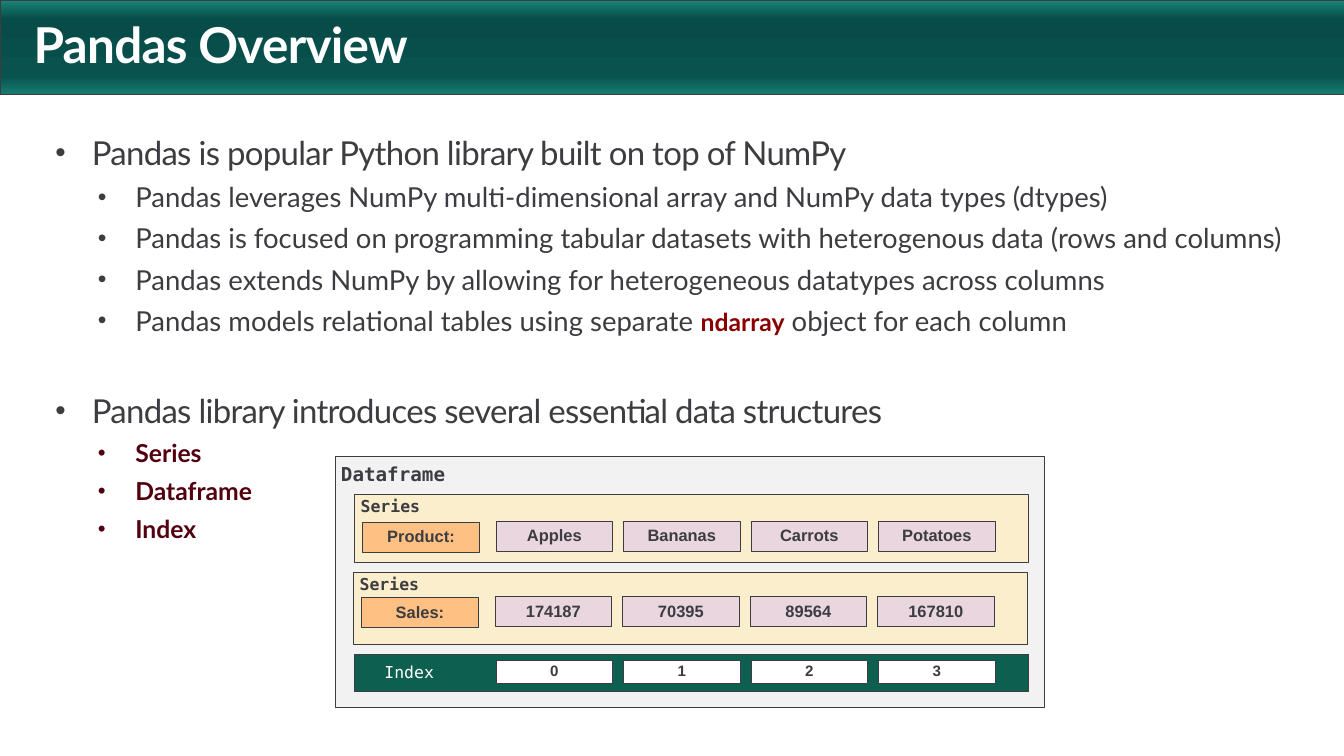
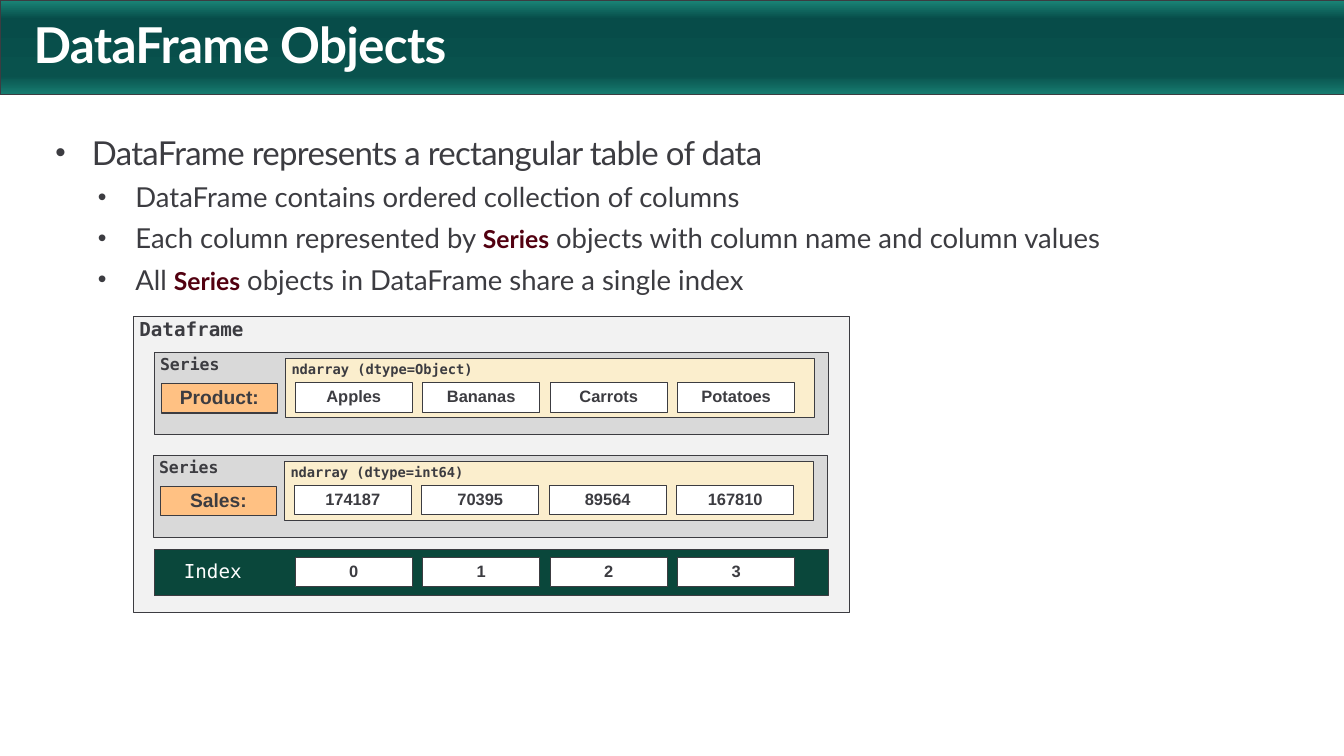
from lxml import etree
from pptx import Presentation
from pptx.dml.color import RGBColor
from pptx.enum import shapes, text
from pptx.oxml import ns
from pptx.util import Inches, Pt

INK = RGBColor(0x3C, 0x3C, 0x41)
WHITE = RGBColor(0xFF, 0xFF, 0xFF)
RED = RGBColor(0x8A, 0x00, 0x00)
MAROON = RGBColor(0x52, 0x00, 0x10)
PALE = RGBColor(0xF2, 0xF2, 0xF2)
GREY = RGBColor(0xD9, 0xD9, 0xD9)
CREAM = RGBColor(0xFB, 0xEE, 0xCD)
ORANGE = RGBColor(0xFF, 0xC1, 0x83)
PINK = RGBColor(0xE9, 0xD6, 0xDF)
GREEN = RGBColor(0x0D, 0x5F, 0x4F)
DARK_GREEN = RGBColor(0x0A, 0x47, 0x3B)
BAND_STOPS = [(1, "198375"), (20, "074C49"), (80, "09524D"), (100, "177D71")]

LATO, MONO, ARIAL = "Lato", "DejaVu Sans Mono", "Arial"
LABEL_INSETS = (0.06, 0.04, 0.2, 0.16)
INDEX_INSETS = (0.3, 0, 0.2, 0)
NO_INSETS = (0, 0, 0, 0)
CELL_W, CELL_H, CELL_PITCH = 1.18, 0.3, 1.29

# Content: body lines are (level, [(text, emphasis colour)])
SLIDES = [
    ("Pandas Overview", 4.3, [
        (0, [("Pandas is popular Python library built on top of NumPy", None)]),
        (1, [("Pandas leverages NumPy multi-dimensional array and NumPy data types (dtypes)", None)]),
        (1, [("Pandas is focused on programming tabular datasets with heterogenous data "
              "(rows and columns)", None)]),
        (1, [("Pandas extends NumPy by allowing for heterogeneous datatypes across columns", None)]),
        (1, [("Pandas models relational tables using separate ", None), ("ndarray", RED),
             (" object for each column", None)]),
        (0, [("Pandas library introduces several essential data structures", None)]),
        (1, [("Series", MAROON)]),
        (1, [("Dataframe", MAROON)]),
        (1, [("Index", MAROON)]),
    ]),
    ("DataFrame Objects", 1.67, [
        (0, [("DataFrame represents a rectangular table of data", None)]),
        (1, [("DataFrame contains ordered collection of columns", None)]),
        (1, [("Each column represented by ", None), ("Series", MAROON),
             (" objects with column name and column values", None)]),
        (1, [("All ", None), ("Series", MAROON),
             (" objects in DataFrame share a single index", None)]),
    ]),
]
PRODUCTS = ["Apples", "Bananas", "Carrots", "Potatoes"]
SALES = ["174187", "70395", "89564", "167810"]
INDEX = ["0", "1", "2", "3"]


def add_run(p, words, font, size, color, bold=False, spacing=0):
    r = p.add_run()
    r.text = words
    r.font.name, r.font.size, r.font.bold = font, Pt(size), bold
    r.font.color.rgb = color
    if spacing:
        r._r.get_or_add_rPr().set("spc", str(int(spacing * 100)))


def add_box(s, at, fill, words, size, font=ARIAL, color=INK, insets=NO_INSETS, bold=True):
    sp = s.shapes.add_shape(shapes.MSO_SHAPE.RECTANGLE, *[Inches(v) for v in at])
    sp.shadow.inherit = False
    sp.fill.solid()
    sp.fill.fore_color.rgb = fill
    sp.line.color.rgb, sp.line.width = INK, Pt(0.75)
    tf = sp.text_frame
    tf.word_wrap = True
    tf.margin_left, tf.margin_top, tf.margin_right, tf.margin_bottom = [Inches(v) for v in insets]
    # Labels with a bottom inset sit at the top; all other text is centred vertically
    tf.vertical_anchor = text.MSO_ANCHOR.TOP if insets[3] else text.MSO_ANCHOR.MIDDLE
    p = tf.paragraphs[0]
    p.alignment = text.PP_ALIGN.CENTER if insets == NO_INSETS else text.PP_ALIGN.LEFT
    p.line_spacing = 0.9
    add_run(p, words, font, size, color, bold)


prs = Presentation()
prs.slide_width, prs.slide_height = Inches(13.6), Inches(7.65)

# Band, title and bullets on every slide
for title, body_h, lines in SLIDES:
    s = prs.slides.add_slide(prs.slide_layouts[6])
    band = s.shapes.add_shape(shapes.MSO_SHAPE.RECTANGLE, 0, 0, prs.slide_width, Inches(0.96))
    band.shadow.inherit = False
    band.line.color.rgb, band.line.width = INK, Pt(0.5)
    band.fill.gradient()
    grad = band._element.spPr.find(ns.qn("a:gradFill"))
    grad.find(ns.qn("a:lin")).set("ang", "5400000")
    stops = grad.find(ns.qn("a:gsLst"))
    for gs in list(stops):
        stops.remove(gs)
    for pos, color in BAND_STOPS:
        gs = etree.SubElement(stops, ns.qn("a:gs"), pos=str(pos * 1000))
        etree.SubElement(gs, ns.qn("a:srgbClr"), val=color)

    frames = []
    for at in [(0.34, 0.21, 12.91, 0.55), (0.56, 1.34, 12.69, body_h)]:
        tf = s.shapes.add_textbox(*[Inches(v) for v in at]).text_frame
        tf.word_wrap = True
        tf.margin_left = tf.margin_top = tf.margin_right = tf.margin_bottom = 0
        frames.append(tf)
    p = frames[0].paragraphs[0]
    p.line_spacing = 0.9
    add_run(p, title, LATO, 36, WHITE, True, -0.5)

    for i, (level, runs) in enumerate(lines):
        p = frames[1].add_paragraph() if i else frames[1].paragraphs[0]
        p.level = level
        p.space_after = Pt(6)
        if level == 0:
            p.space_before = Pt(33 if i else 3)
        pPr = p._p.get_or_add_pPr()
        pPr.set("marL", str(Inches((0.37, 0.81)[level])))
        pPr.set("indent", str(Inches((-0.37, -0.38)[level])))
        etree.SubElement(pPr, ns.qn("a:buSzPct"), val="90000")
        etree.SubElement(pPr, ns.qn("a:buFont"), typeface=ARIAL)
        etree.SubElement(pPr, ns.qn("a:buChar"), char="•")
        for words, accent in runs:
            size = 18 if accent else (24, 20)[level]
            add_run(p, words, LATO, size, accent or INK, bool(accent), 0 if level else -0.5)

overview, objects = prs.slides

# Overview diagram: two series and the index
add_box(overview, (3.39, 4.62, 7.18, 2.54), PALE, "Dataframe", 14, MONO,
        insets=(0.06, 0.08, 0.2, 0.16))
for x, y, h, name_dy, name, values in [(3.59, 5, 0.69, 0.29, "Product:", PRODUCTS),
                                       (3.58, 5.79, 0.73, 0.26, "Sales:", SALES)]:
    add_box(overview, (x, y, 6.82, h), CREAM, "Series", 12, MONO, insets=LABEL_INSETS)
    add_box(overview, (x + 0.08, y + name_dy, CELL_W, CELL_H), ORANGE, name, 12)
    for i, value in enumerate(values):
        add_box(overview, (x + 1.43 + i * CELL_PITCH, y + name_dy - 0.01, CELL_W, CELL_H),
                PINK, value, 12)

# Objects diagram: each series holds an ndarray
add_box(objects, (1.35, 3.2, 7.25, 3), PALE, "Dataframe", 14, MONO, insets=LABEL_INSETS)
for x, y, name, dtype, values in [(1.56, 3.57, "Product:", "Object", PRODUCTS),
                                  (1.55, 4.61, "Sales:", "int64", SALES)]:
    add_box(objects, (x, y, 6.82, 0.83), GREY, "Series", 12, MONO, insets=LABEL_INSETS)
    add_box(objects, (x + 0.07, y + 0.31, CELL_W, CELL_H), ORANGE, name, 14)
    add_box(objects, (x + 1.33, y + 0.06, 5.35, 0.6), CREAM, f"ndarray (dtype={dtype})", 10,
            MONO, insets=LABEL_INSETS)
    for i, value in enumerate(values):
        add_box(objects, (x + 1.43 + i * CELL_PITCH, y + 0.3, CELL_W, CELL_H), WHITE, value, 12)

# Index row of both diagrams
for s, x, y, h, fill, size, cell_dy, cell_h, cell_size in [
        (overview, 3.59, 6.62, 0.38, GREEN, 12, 0.06, 0.24, 11),
        (objects, 1.56, 5.56, 0.47, DARK_GREEN, 14, 0.08, CELL_H, 12)]:
    add_box(s, (x, y, 6.82, h), fill, "Index", size, MONO, WHITE, INDEX_INSETS, False)
    for i, value in enumerate(INDEX):
        add_box(s, (x + 1.43 + i * CELL_PITCH, y + cell_dy, CELL_W, cell_h), WHITE, value, cell_size)

prs.save("out.pptx")
